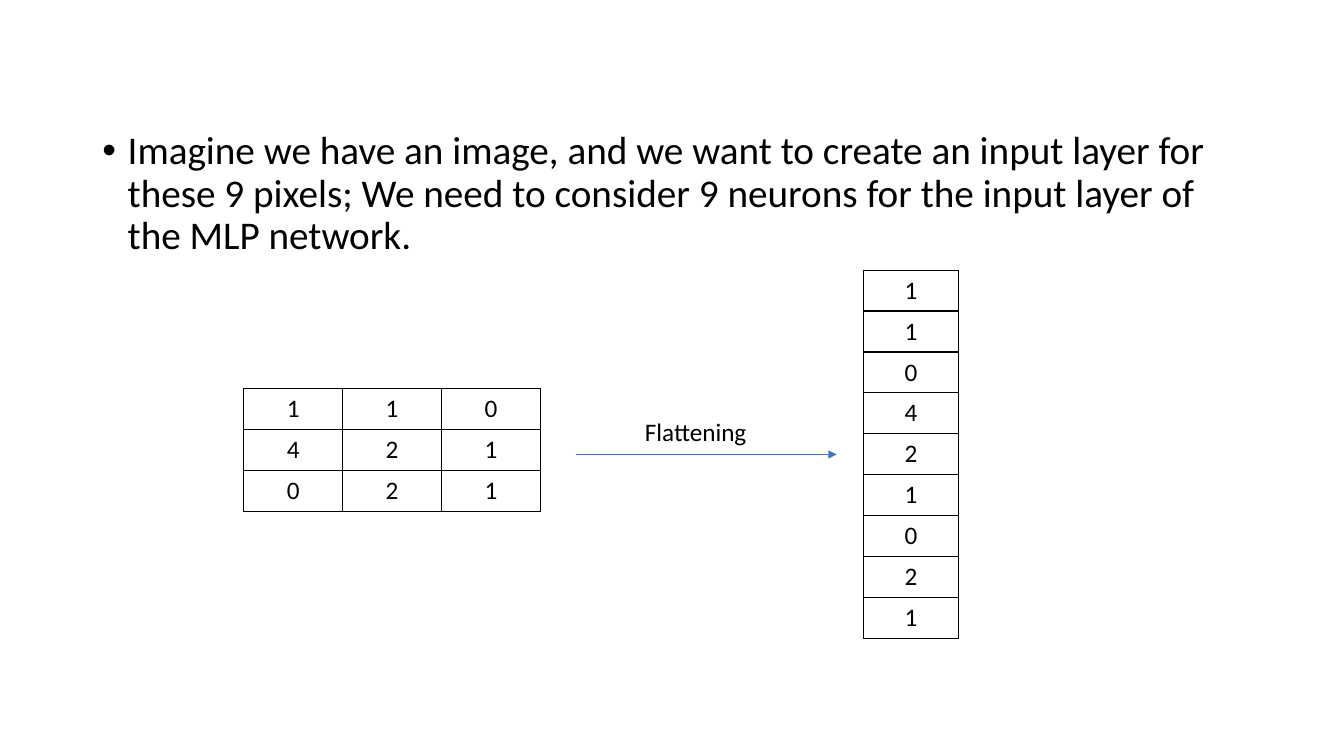
"""Build a slide that shows how a 3 by 3 image is flattened into nine input neurons."""
from dataclasses import dataclass

from lxml import etree
from pptx import Presentation
from pptx import util as u
from pptx.dml.color import RGBColor
from pptx.enum import shapes, text
from pptx.oxml.ns import qn

FONT = "Calibri"
BLACK = "000000"
BLUE = "4472C4"
PIXELS = [[1, 1, 0], [4, 2, 1], [0, 2, 1]]
NEURONS = [[value] for row in PIXELS for value in row]


@dataclass
class Grid:
    values: list[list[int]]
    left: float
    top: float
    column_width: float
    row_height: float


GRIDS = [
    Grid(PIXELS, 174.2, 277.7, 70.6, 29.3),
    Grid(NEURONS, 616.9, 193, 67.8, 28.8),
]


def color(value: str) -> RGBColor:
    return RGBColor.from_string(value)


def place(shape, left: float, top: float, width: float, height: float) -> None:
    shape.left, shape.top = u.Pt(left), u.Pt(top)
    shape.width, shape.height = u.Pt(width), u.Pt(height)


def add_run(paragraph, content: str, size: float) -> None:
    run = paragraph.add_run()
    run.text = content
    run.font.name = FONT
    run.font.size = u.Pt(size)
    run.font.color.rgb = color(BLACK)


def fill_body(shape) -> None:
    place(shape, 66, 90, 828, 486)
    shape.text_frame.auto_size = text.MSO_AUTO_SIZE.NONE
    paragraph = shape.text_frame.paragraphs[0]
    paragraph.line_spacing = 0.9
    paragraph.space_before = u.Pt(10)
    properties = paragraph._p.get_or_add_pPr()
    properties.set("marL", str(u.Pt(18)))
    properties.set("indent", str(u.Pt(-18)))
    etree.SubElement(properties, qn("a:buFont"), typeface="Arial")
    etree.SubElement(properties, qn("a:buChar"), char="•")
    add_run(
        paragraph,
        "Imagine we have an image, and we want to create an input layer for "
        "these 9 pixels; We need to consider 9 neurons for the input layer of "
        "the MLP network.",
        28,
    )


def add_borders(cell) -> None:
    properties = cell._tc.get_or_add_tcPr()
    for side in ("lnL", "lnR", "lnT", "lnB"):
        border = etree.SubElement(properties, qn(f"a:{side}"), w=str(u.Pt(1)))
        fill = etree.SubElement(border, qn("a:solidFill"))
        etree.SubElement(fill, qn("a:srgbClr"), val=BLACK)


def draw_grid(slide, grid: Grid) -> None:
    rows, columns = len(grid.values), len(grid.values[0])
    table = slide.shapes.add_table(
        rows, columns, u.Pt(grid.left), u.Pt(grid.top),
        u.Pt(columns * grid.column_width), u.Pt(rows * grid.row_height),
    ).table
    table.first_row = table.horz_banding = False
    for column in table.columns:
        column.width = u.Pt(grid.column_width)
    for row, values in zip(table.rows, grid.values):
        row.height = u.Pt(grid.row_height)
        for cell, value in zip(row.cells, values):
            add_borders(cell)
            cell.fill.background()
            paragraph = cell.text_frame.paragraphs[0]
            paragraph.alignment = text.PP_ALIGN.CENTER
            add_run(paragraph, str(value), 18)


def draw_arrow(slide, start: float, end: float, height: float) -> None:
    arrow = slide.shapes.add_connector(
        shapes.MSO_CONNECTOR.STRAIGHT,
        u.Pt(start), u.Pt(height), u.Pt(end), u.Pt(height),
    )
    arrow.line.color.rgb = color(BLUE)
    arrow.line.width = u.Pt(0.5)
    etree.SubElement(arrow.line._get_or_add_ln(), qn("a:tailEnd"), type="triangle")
    etree.SubElement(arrow._element.spPr, qn("a:effectLst"))


def draw_label(slide, content: str) -> None:
    label = slide.shapes.add_textbox(u.Pt(453.6), u.Pt(293.8), u.Pt(88.6), u.Pt(28.8))
    label.text_frame.word_wrap = False
    label.text_frame.auto_size = text.MSO_AUTO_SIZE.SHAPE_TO_FIT_TEXT
    add_run(label.text_frame.paragraphs[0], content, 18)


def main() -> None:
    presentation = Presentation()
    presentation.slide_width, presentation.slide_height = u.Pt(960), u.Pt(540)
    slide = presentation.slides.add_slide(presentation.slide_layouts[1])
    title = slide.shapes.title._element
    title.getparent().remove(title)
    fill_body(slide.placeholders[1])
    for grid in GRIDS:
        draw_grid(slide, grid)
    draw_arrow(slide, 411.1, 597.6, 324.7)
    draw_label(slide, "Flattening")
    presentation.save("out.pptx")


if __name__ == "__main__":
    main()
